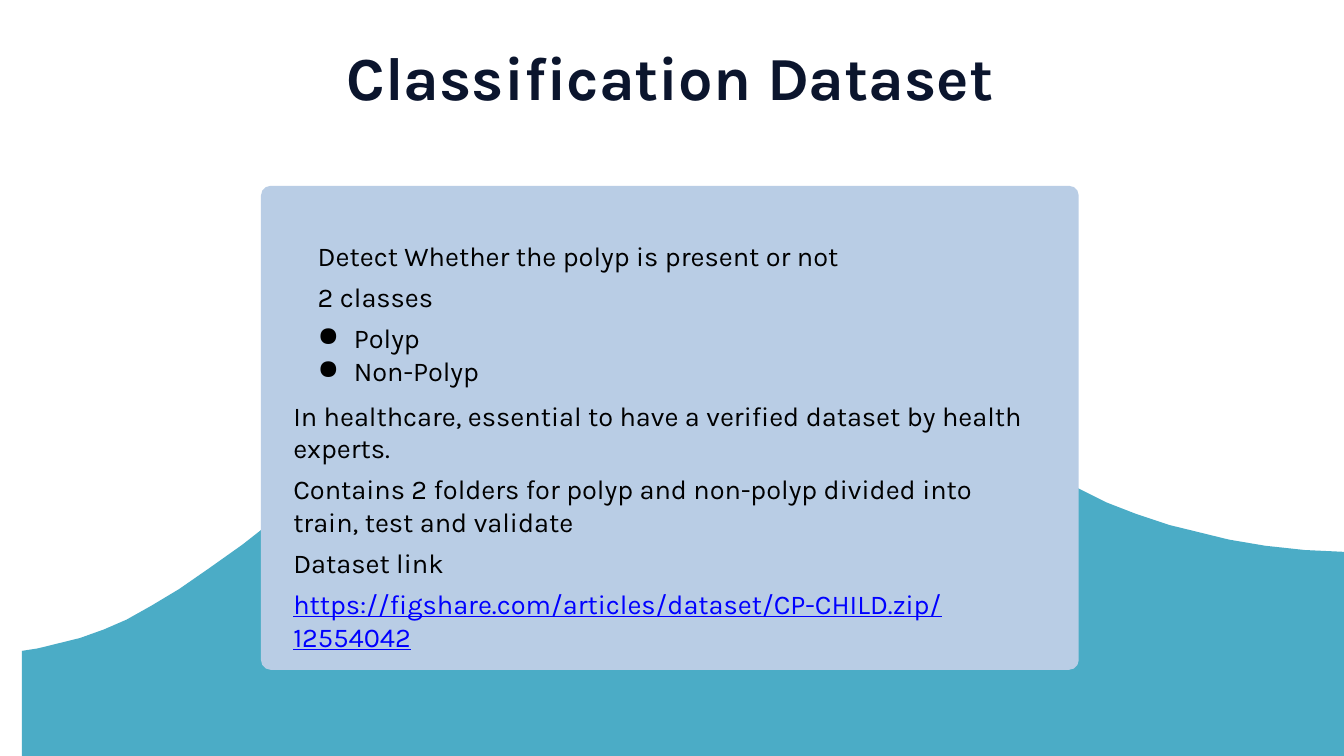
from dataclasses import dataclass

from lxml.etree import SubElement
from pptx import Presentation
from pptx.dml.color import RGBColor
from pptx.enum.shapes import MSO_SHAPE
from pptx.enum.text import PP_ALIGN
from pptx.oxml.ns import qn
from pptx.util import Inches, Pt

WIDTH, HEIGHT = 21.99, 12.37
FONT = "Karla"
COLORS = {"title": "0B152D", "text": "000000", "link": "0000FF",
          "wave": "4BACC6", "card": "B9CDE5"}

# Crest of the wave, from left to right
CREST = [
    (0.36, 10.65), (0.62, 10.61), (1.31, 10.44), (1.7, 10.3), (2.07, 10.14),
    (2.48, 9.91), (2.93, 9.64), (3.42, 9.3), (3.97, 8.91), (4.25, 8.69),
    (4.6, 8.37), (5.1, 8.01), (5.82, 7.54), (6.84, 7), (7.59, 6.68),
    (8.2, 6.41), (8.94, 6.21), (9.52, 6.09), (10.08, 6.03), (10.61, 6),
    (11.44, 6), (12.1, 6.04), (12.57, 6.09), (13.15, 6.19), (13.88, 6.37),
    (14.83, 6.68), (15.72, 7.04), (16.56, 7.4), (17.15, 7.69), (17.6, 7.97),
    (18.1, 8.22), (18.59, 8.41), (19.13, 8.59), (20.11, 8.83), (20.7, 8.93),
    (21.35, 9), (WIDTH, 9.03),
]


@dataclass
class Line:
    text: str
    color: str = "text"
    size: int = 32
    gap: int = 10
    bold: bool = False
    under: bool = False
    bullet: bool = False
    align: PP_ALIGN = PP_ALIGN.LEFT


@dataclass
class Block:
    left: float
    top: float
    width: float
    height: float
    lines: list[Line]


BLOCKS = [
    Block(4.08, 0.6, 13.77, 1.23, [
        Line("Classification Dataset", "title", 72, bold=True,
             align=PP_ALIGN.CENTER)]),
    Block(5.1, 3.87, 10.99, 2.91, [
        Line("Detect Whether the polyp is present or not"),
        Line("2 classes"),
        Line("Polyp", bullet=True),
        Line("Non-Polyp", gap=0, bullet=True)]),
    Block(4.7, 6.48, 12.32, 3.99, [
        Line("In healthcare, essential to have a verified dataset by health "
             "experts."),
        Line("Contains 2 folders for polyp and non-polyp divided into train, "
             "test and validate"),
        Line("Dataset link"),
        Line("https://figshare.com/articles/dataset/CP-CHILD.zip/12554042",
             "link", under=True)]),
]


def color(name: str) -> RGBColor:
    return RGBColor.from_string(COLORS[name])


def paint(shape, name: str) -> None:
    """Give a shape a plain fill with no line or shadow."""
    shape.shadow.inherit = False
    shape.fill.solid()
    shape.fill.fore_color.rgb = color(name)
    shape.line.fill.background()


def add_wave(slide) -> None:
    base = [(WIDTH, HEIGHT), (CREST[0][0], HEIGHT)]
    points = [(Inches(x), Inches(y)) for x, y in CREST + base]
    outline = slide.shapes.build_freeform(*points[0], scale=1.0)
    outline.add_line_segments(points[1:], close=True)
    paint(outline.convert_to_shape(), "wave")


def add_card(slide) -> None:
    card = slide.shapes.add_shape(
        MSO_SHAPE.ROUNDED_RECTANGLE,
        Inches(4.27), Inches(3.04), Inches(13.38), Inches(7.92))
    card.adjustments[0] = 0.02
    paint(card, "card")


def add_bullet(para) -> None:
    props = para._p.get_or_add_pPr()
    props.set("marL", str(Inches(0.59)))
    props.set("indent", str(-Inches(0.59)))
    SubElement(props, qn("a:buChar")).set("char", "●")


def add_block(slide, block: Block) -> None:
    box = slide.shapes.add_textbox(
        Inches(block.left), Inches(block.top),
        Inches(block.width), Inches(block.height))
    frame = box.text_frame
    frame.word_wrap = True
    for i, line in enumerate(block.lines):
        para = frame.add_paragraph() if i else frame.paragraphs[0]
        para.text = line.text
        para.alignment = line.align
        if line.bullet:
            add_bullet(para)
        para.space_before = Pt(line.gap if i else 0)
        font = para.font
        font.name, font.size = FONT, Pt(line.size)
        font.bold, font.underline = line.bold, line.under
        font.color.rgb = color(line.color)


def main() -> None:
    deck = Presentation()
    deck.slide_width, deck.slide_height = Inches(WIDTH), Inches(HEIGHT)
    slide = deck.slides.add_slide(deck.slide_layouts[6])
    add_wave(slide)
    add_card(slide)
    for block in BLOCKS:
        add_block(slide, block)
    deck.save("out.pptx")


if __name__ == "__main__":
    main()
